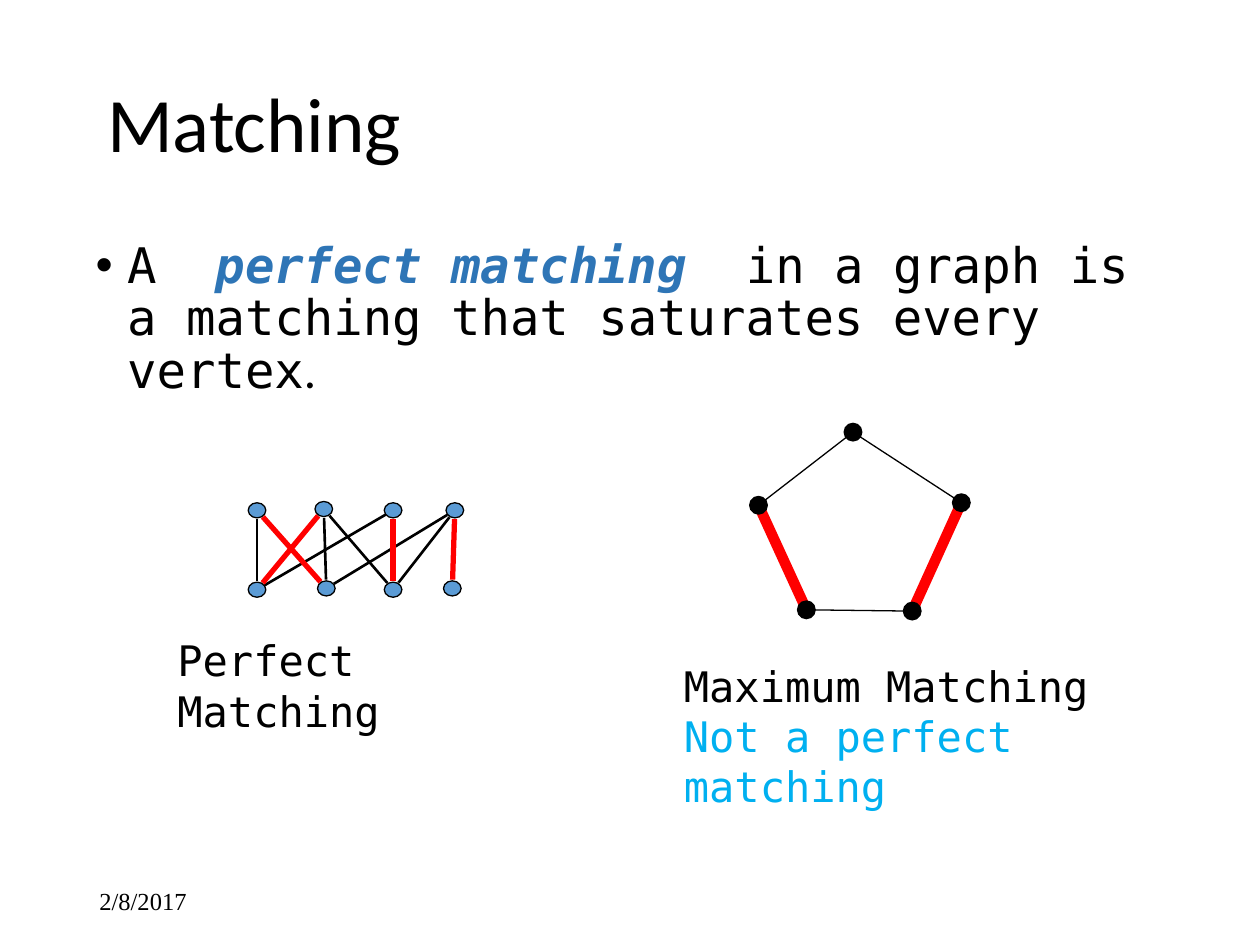
"""Build the slide that contrasts a perfect matching with a maximum matching."""
from dataclasses import dataclass
from math import hypot
from typing import NamedTuple

from lxml.etree import SubElement
from pptx import Presentation
from pptx.dml.color import RGBColor
from pptx.enum.shapes import MSO_CONNECTOR as Connector, MSO_SHAPE as Preset
from pptx.enum.text import MSO_ANCHOR as Anchor, MSO_AUTO_SIZE as AutoSize, PP_ALIGN as Align
from pptx.oxml.ns import qn
from pptx.util import Emu, Inches, Pt

COLUMNS, ROWS = 100, 75
SLIDE_WIDTH, SLIDE_HEIGHT = Inches(10), Inches(7.5)


@dataclass(frozen=True)
class Theme:
    black: str = "000000"
    red: str = "FF0000"
    vertex_blue: str = "5B9BD5"
    term_blue: str = "2E75B6"
    note_blue: str = "00B0F0"
    sans: str = "Calibri"
    serif: str = "Times New Roman"
    mono: str = "DejaVu Sans Mono"
    title_size: float = 44
    body_size: float = 28
    label_size: float = 24
    date_size: float = 14
    outline: float = 0.75


class Box(NamedTuple):
    column: float
    row: float
    columns: float
    rows: float


class Point(NamedTuple):
    column: float
    row: float


class Piece(NamedTuple):
    text: str
    font: str
    size: float
    color: str = "000000"
    emphasis: bool = False


@dataclass(frozen=True)
class Graph:
    vertices: dict[str, Point]
    plain_edges: str
    matched_edges: str
    fill: str
    vertex_columns: float
    vertex_rows: float
    plain_width: float
    matched_width: float
    gap: float


THEME = Theme()

BIPARTITE = Graph(
    vertices={
        "a": Point(20.4, 40.5), "b": Point(25.7, 40.4), "c": Point(31.2, 40.5), "d": Point(36.1, 40.5),
        "e": Point(20.4, 46.8), "f": Point(25.9, 46.7), "g": Point(31.2, 46.8), "h": Point(35.9, 46.7),
    },
    plain_edges="ec bg bf dg ae fd",
    matched_edges="af dh be cg",
    fill=THEME.vertex_blue,
    vertex_columns=1.4,
    vertex_rows=1.2,
    plain_width=1.5,
    matched_width=3,
    gap=0.7,
)

PENTAGON = Graph(
    vertices={
        "a": Point(67.7, 34.3), "b": Point(76.3, 39.9), "c": Point(72.4, 48.5),
        "d": Point(64, 48.4), "e": Point(60.2, 40.1),
    },
    plain_edges="ae ab dc",
    matched_edges="ed bc",
    fill=THEME.black,
    vertex_columns=1.4,
    vertex_rows=1.4,
    plain_width=0.75,
    matched_width=6,
    gap=0,
)


def across(columns: float) -> Emu:
    return Emu(round(SLIDE_WIDTH * columns / COLUMNS))


def down(rows: float) -> Emu:
    return Emu(round(SLIDE_HEIGHT * rows / ROWS))


def frame(box: Box) -> tuple[Emu, Emu, Emu, Emu]:
    return across(box.column), down(box.row), across(box.columns), down(box.rows)


def place(shape, box: Box) -> None:
    shape.left, shape.top, shape.width, shape.height = frame(box)


def write(paragraph, pieces: list[Piece]) -> None:
    for piece in pieces:
        run = paragraph.add_run()
        run.text = piece.text
        font = run.font
        font.name, font.size = piece.font, Pt(piece.size)
        font.bold = font.italic = piece.emphasis
        font.color.rgb = RGBColor.from_string(piece.color)


def add_text(slide, box: Box, lines: list[Piece], anchor: Anchor = Anchor.TOP) -> None:
    text_frame = slide.shapes.add_textbox(*frame(box)).text_frame
    text_frame.word_wrap = True
    text_frame.vertical_anchor = anchor
    for index, line in enumerate(lines):
        paragraph = text_frame.add_paragraph() if index else text_frame.paragraphs[0]
        write(paragraph, [line])


def fill_placeholder(shape, box: Box, pieces: list[Piece], anchor: Anchor):
    place(shape, box)
    text_frame = shape.text_frame
    text_frame.auto_size = AutoSize.NONE
    text_frame.vertical_anchor = anchor
    paragraph = text_frame.paragraphs[0]
    paragraph.alignment = Align.LEFT
    paragraph.line_spacing = 0.9
    write(paragraph, pieces)
    return paragraph


def add_edge(slide, start: Point, end: Point, gap: float, color: str, width: float) -> None:
    run, rise = end.column - start.column, end.row - start.row
    share = gap / hypot(run, rise)
    connector = slide.shapes.add_connector(
        Connector.STRAIGHT,
        across(start.column + run * share), down(start.row + rise * share),
        across(end.column - run * share), down(end.row - rise * share),
    )
    connector.line.color.rgb = RGBColor.from_string(color)
    connector.line.width = Pt(width)
    SubElement(connector._element.spPr, qn("a:effectLst"))


def add_vertex(slide, center: Point, graph: Graph) -> None:
    columns, rows = graph.vertex_columns, graph.vertex_rows
    box = Box(center.column - columns / 2, center.row - rows / 2, columns, rows)
    vertex = slide.shapes.add_shape(Preset.OVAL, *frame(box))
    vertex.shadow.inherit = False
    vertex.fill.solid()
    vertex.fill.fore_color.rgb = RGBColor.from_string(graph.fill)
    vertex.line.color.rgb = RGBColor.from_string(THEME.black)
    vertex.line.width = Pt(THEME.outline)


def add_graph(slide, graph: Graph) -> None:
    for edges, color, width in (
        (graph.plain_edges, THEME.black, graph.plain_width),
        (graph.matched_edges, THEME.red, graph.matched_width),
    ):
        for start, end in edges.split():
            add_edge(slide, graph.vertices[start], graph.vertices[end], graph.gap, color, width)
    for center in graph.vertices.values():
        add_vertex(slide, center, graph)


def main() -> None:
    presentation = Presentation()
    presentation.slide_width, presentation.slide_height = SLIDE_WIDTH, SLIDE_HEIGHT
    slide = presentation.slides.add_slide(presentation.slide_layouts[1])
    title, body = slide.placeholders

    fill_placeholder(title, Box(7.5, 5.4, 85, 9.4),
                     [Piece("Matching", THEME.sans, THEME.title_size)], Anchor.MIDDLE)
    definition = fill_placeholder(body, Box(6.6, 18.6, 85, 13.2), [
        Piece("A  ", THEME.mono, THEME.body_size),
        Piece("perfect matching  ", THEME.mono, THEME.body_size, THEME.term_blue, True),
        Piece("in a graph is a matching that saturates every vertex", THEME.mono, THEME.body_size),
        Piece(".", THEME.sans, THEME.body_size),
    ], Anchor.TOP)
    definition.space_before = Pt(10)
    properties = definition._p.get_or_add_pPr()
    properties.set("marL", str(Inches(0.25)))
    properties.set("indent", str(-Inches(0.25)))

    add_graph(slide, BIPARTITE)
    add_graph(slide, PENTAGON)
    add_text(slide, Box(13.1, 49.9, 30.1, 5.1), [Piece("Perfect Matching", THEME.mono, THEME.label_size)])
    add_text(slide, Box(53.3, 51.9, 37.4, 9.1), [
        Piece("Maximum Matching ", THEME.mono, THEME.label_size),
        Piece("Not a perfect matching", THEME.mono, THEME.label_size, THEME.note_blue),
    ])
    add_text(slide, Box(6.9, 69.5, 22.5, 4),
             [Piece("2/8/2017", THEME.serif, THEME.date_size)], Anchor.MIDDLE)
    presentation.save("out.pptx")


main()
